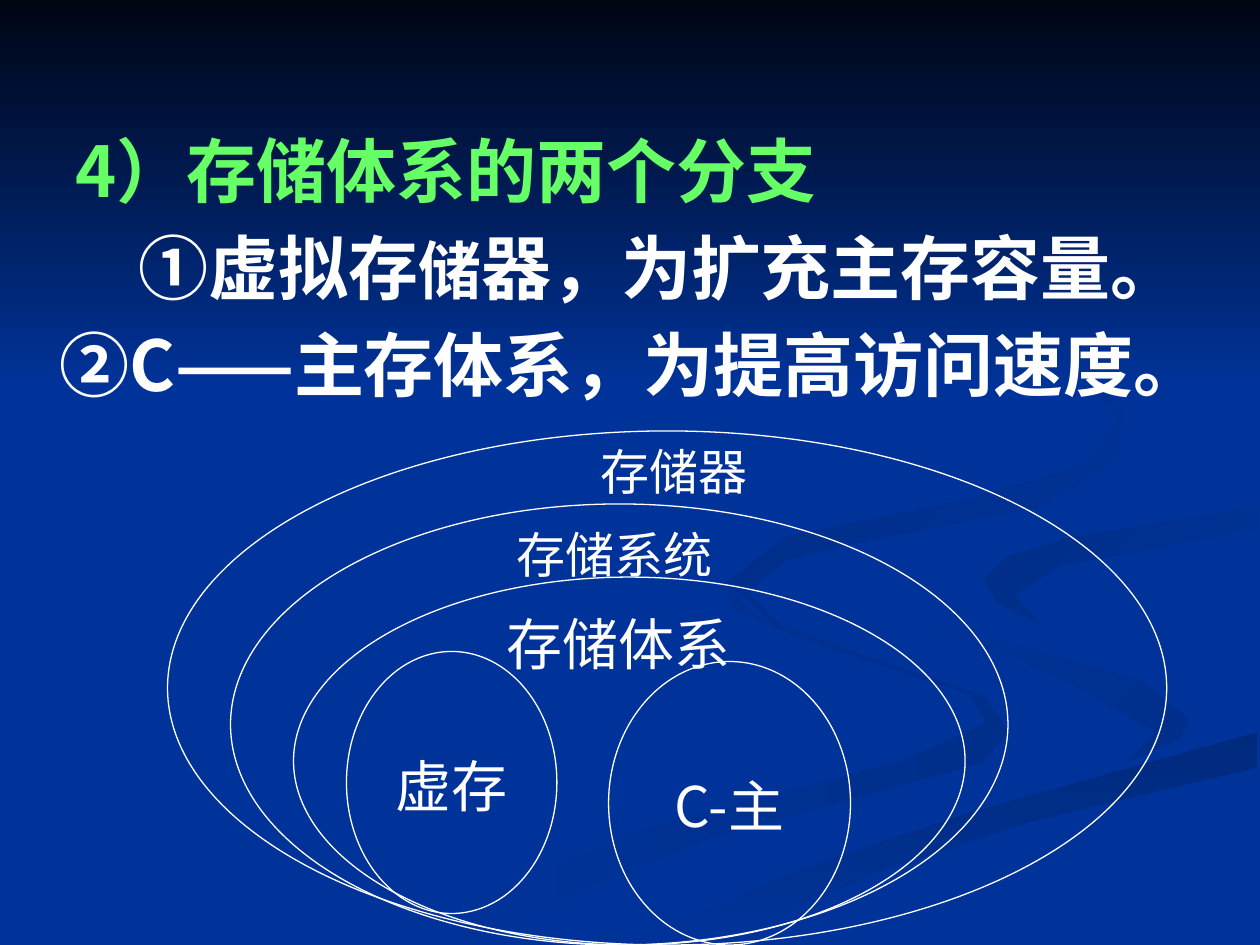
from pptx import Presentation
from pptx.dml.color import RGBColor
from pptx.enum.lang import MSO_LANGUAGE_ID
from pptx.enum.shapes import MSO_SHAPE
from pptx.enum.text import MSO_ANCHOR, MSO_AUTO_SIZE, PP_ALIGN
from pptx.util import Inches, Pt

OVAL, RECTANGLE = MSO_SHAPE.OVAL, MSO_SHAPE.RECTANGLE
TOP, MIDDLE = MSO_ANCHOR.TOP, MSO_ANCHOR.MIDDLE
LEFT, CENTER = PP_ALIGN.LEFT, PP_ALIGN.CENTER
NO_AUTOFIT = MSO_AUTO_SIZE.NONE
CHINESE = MSO_LANGUAGE_ID.SIMPLIFIED_CHINESE
SANS, SERIF = "Noto Sans CJK SC", "Times New Roman"
TITLE_ONLY = 5
COLORS = {
    "blue": "003399", "night": "000514", "white": "FFFFFF", "green": "66FF66",
    "shade1": "002E8B", "shade2": "002A7D", "shade3": "002D86", "shade4": "002B82",
}
UNITS_PER_INCH = 100

RIBBONS = [
    (("blue", "shade1"), 0, [
        (781, 553), (682, 519), (594, 485), (575, 459), (581, 484), (654, 513),
        (770, 551), (783, 574), (714, 605), (499, 661), (300, 749), (361, 749),
        (564, 665), (780, 605), (800, 581)]),
    (("blue", "shade1"), 45, [
        (943, 570), (905, 540), (758, 498), (724, 464), (746, 500), (838, 536),
        (918, 581), (894, 605), (937, 586)]),
    (("shade2", "blue"), 90, [
        (503, 749), (571, 749), (695, 692), (821, 651), (998, 609), (998, 581),
        (764, 647), (630, 693)]),
    (("shade3", "blue"), 45, [
        (781, 460), (791, 478), (826, 496), (805, 472), (843, 448), (998, 420),
        (998, 402), (849, 427), (799, 442)]),
    (("shade4", "blue"), 45, [
        (683, 430), (825, 402), (889, 362), (890, 324), (843, 275), (762, 233),
        (846, 279), (889, 335), (861, 370), (763, 398), (625, 426), (577, 462),
        (622, 500), (593, 470), (624, 444)]),
]
RINGS = [(1.33, 3.42, 7.93, 4.08), (1.83, 4, 6.17, 3.5), (2.33, 4.58, 5.33, 2.92)]
RING_LABELS = [
    ("存储器", 28, (4.67, 3.42, 1.67, 0.57)),
    ("存储系统", 28, (4, 4.08, 1.83, 0.57)),
    ("存储体系", 32, (3.92, 4.75, 2, 0.63)),
]
BRANCHES = [("虚存", (2.75, 5.17, 1.67, 2.08)), ("C-主", (4.83, 5.25, 1.92, 2.25))]
BODY_LINES = [
    (1.1, [("①虚拟存", 40), ("储", 36), ("器，为扩充主存容量。", 40)]),
    (0.47, [("②C——主存体系，为提高访问速度。", 40)]),
]


def color(name):
    return RGBColor.from_string(COLORS[name])


def inches(box):
    return [Inches(length) for length in box]


def write_text(paragraph, text, size=40, font=SANS, fill="white", bold=False, pitch=55.5, align=LEFT):
    paragraph.alignment = align
    paragraph.line_spacing = Pt(pitch)
    paragraph.space_before = Pt(0)
    run = paragraph.add_run()
    run.text = text
    run.font.name = font
    run.font.size = Pt(size)
    run.font.bold = bold
    run.font.language_id = CHINESE
    run.font.color.rgb = color(fill)


def prepare_frame(frame, anchor=TOP, wrap=True, margin=None):
    frame.auto_size = NO_AUTOFIT
    frame.vertical_anchor = anchor
    frame.word_wrap = wrap
    if margin is not None:
        frame.margin_left = frame.margin_right = Inches(margin)
        frame.margin_top = frame.margin_bottom = Inches(margin)


def paint_gradient(shape, stops, angle):
    shape.shadow.inherit = False
    shape.line.fill.background()
    shape.fill.gradient()
    shape.fill.gradient_angle = (360 - angle) % 360
    for stop, name in zip(shape.fill.gradient_stops, stops):
        stop.color.rgb = color(name)


def draw_backdrop(slide, left, top, width, height):
    slide.background.fill.solid()
    slide.background.fill.fore_color.rgb = color("blue")
    for stops, angle, points in RIBBONS:
        builder = slide.shapes.build_freeform(*points[0], scale=Inches(1) / UNITS_PER_INCH)
        builder.add_line_segments(points[1:], close=True)
        paint_gradient(builder.convert_to_shape(left, top), stops, angle)
    sky = slide.shapes.add_shape(RECTANGLE, left, top, width, height)
    paint_gradient(sky, ("night", "blue"), 90)


def place_title(slide, left, top, width, height):
    title = slide.shapes.title
    title.left, title.top, title.width, title.height = left, top, width, height
    prepare_frame(title.text_frame, margin=0)
    write_text(title.text_frame.paragraphs[0], "4）存储体系的两个分支", fill="green", bold=True)
    title.element.getparent().append(title.element)


def place_body(slide, left, top, width, height):
    frame = slide.shapes.add_textbox(left, top, width, height).text_frame
    prepare_frame(frame, margin=0)
    for index, (indent, runs) in enumerate(BODY_LINES):
        paragraph = frame.add_paragraph() if index else frame.paragraphs[0]
        paragraph._p.get_or_add_pPr().set("marL", str(Inches(indent)))
        for text, size in runs:
            write_text(paragraph, text, size=size, bold=True)


def add_ring(slide, left, top, width, height):
    ring = slide.shapes.add_shape(OVAL, left, top, width, height)
    ring.shadow.inherit = False
    ring.fill.background()
    ring.line.color.rgb = color("white")
    ring.line.width = Pt(0.75)
    return ring


def draw_storage_rings(slide, left, top):
    def place(box):
        x, y, width, height = inches(box)
        return left + x, top + y, width, height

    for box in RINGS:
        add_ring(slide, *place(box))
    for text, size, box in RING_LABELS:
        frame = slide.shapes.add_textbox(*place(box)).text_frame
        prepare_frame(frame)
        write_text(frame.paragraphs[0], text, size=size, font=SERIF, pitch=round(size * 1.27))
    for text, box in BRANCHES:
        frame = add_ring(slide, *place(box)).text_frame
        prepare_frame(frame, anchor=MIDDLE, wrap=False)
        write_text(frame.paragraphs[0], text, size=32, pitch=41, align=CENTER)


def main():
    presentation = Presentation()
    presentation.slide_width, presentation.slide_height = Inches(10), Inches(7.5)
    slide = presentation.slides.add_slide(presentation.slide_layouts[TITLE_ONLY])
    draw_backdrop(slide, *inches((0, 0, 10, 3.08)))
    place_title(slide, *inches((0.6, 0.91, 9.3, 0.77)))
    place_body(slide, *inches((0, 1.68, 10, 1.54)))
    draw_storage_rings(slide, Inches(0), Inches(0))
    presentation.save("out.pptx")


if __name__ == "__main__":
    main()
